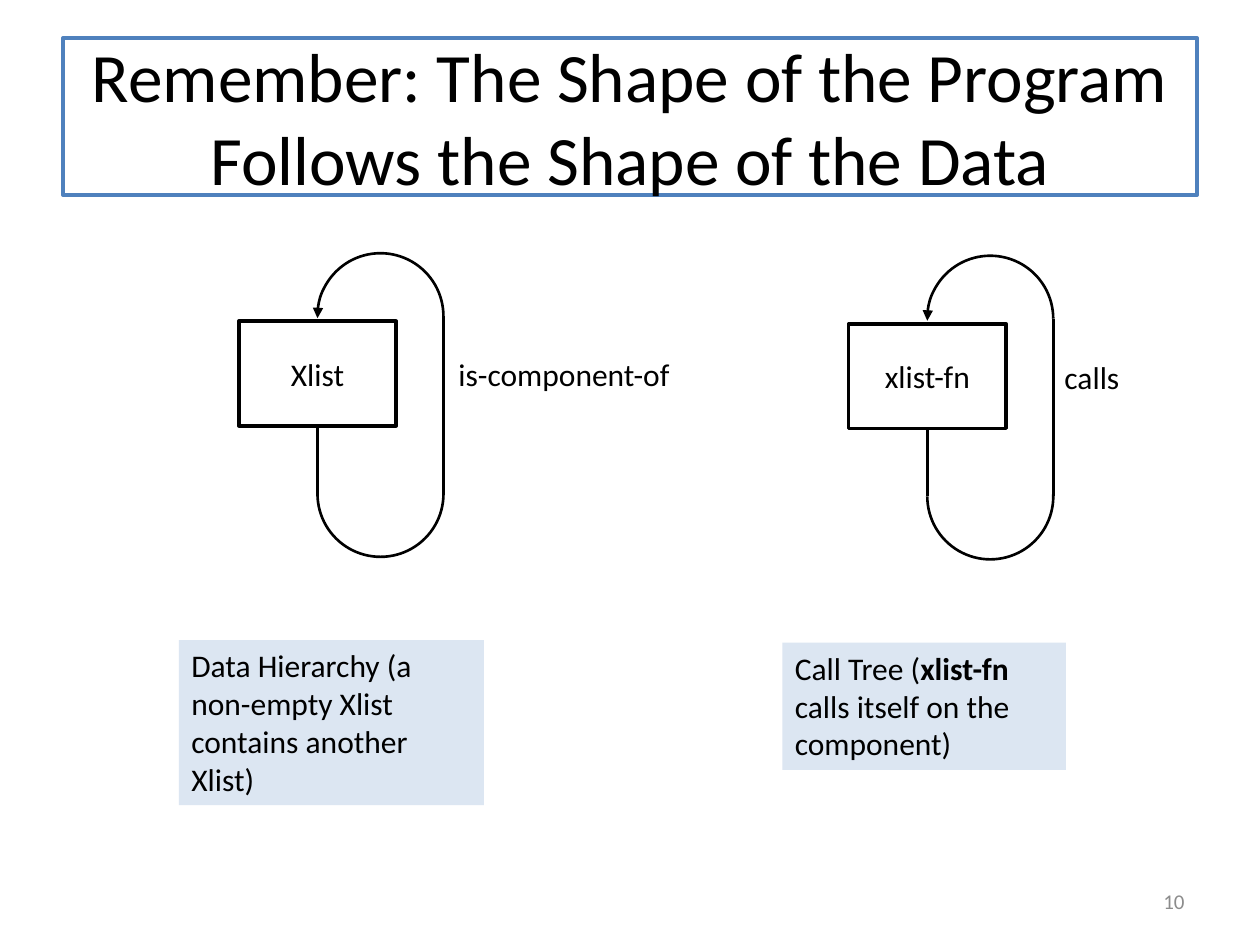
import pptx
import pptx.util
import pptx.dml.color
import pptx.enum.shapes
import pptx.enum.text
import lxml.etree
from pptx.oxml.ns import qn

Inches = pptx.util.Inches
Pt = pptx.util.Pt
SHAPE = pptx.enum.shapes.MSO_SHAPE
ALIGN = pptx.enum.text.PP_ALIGN
ANCHOR = pptx.enum.text.MSO_ANCHOR

BLACK = pptx.dml.color.RGBColor(0x00, 0x00, 0x00)
WHITE = pptx.dml.color.RGBColor(0xFF, 0xFF, 0xFF)
BLUE = pptx.dml.color.RGBColor(0x4F, 0x81, 0xBD)
PALE_BLUE = pptx.dml.color.RGBColor(0xDC, 0xE6, 0xF2)
GREY = pptx.dml.color.RGBColor(0x8C, 0x8C, 0x8C)

presentation = pptx.Presentation()
presentation.slide_width = Inches(10)
presentation.slide_height = Inches(7.5)
slide = presentation.slides.add_slide(presentation.slide_layouts[5])


def write_text(shape, text, size=18, color=BLACK, align=ALIGN.LEFT,
               anchor=ANCHOR.TOP, wrap=True, bold_part=None):
    """Fill the shape with one paragraph; bold_part is set in bold."""
    frame = shape.text_frame
    frame.word_wrap = wrap
    frame.auto_size = pptx.enum.text.MSO_AUTO_SIZE.NONE
    frame.vertical_anchor = anchor
    paragraph = frame.paragraphs[0]
    paragraph.alignment = align
    before, bold, after = text.partition(bold_part) if bold_part else (text, "", "")
    for part, is_bold in ((before, False), (bold, True), (after, False)):
        if part:
            run = paragraph.add_run()
            run.text = part
            run.font.name = "Calibri"
            run.font.size = Pt(size)
            run.font.bold = is_bold
            run.font.color.rgb = color


def draw_line(item, width):
    """Give an arc or connector a plain black line and return its a:ln."""
    item.line.color.rgb = BLACK
    item.line.width = Pt(width)
    properties = item._element.spPr
    if properties.find(qn("a:effectLst")) is None:
        lxml.etree.SubElement(properties, qn("a:effectLst"))
    return properties.find(qn("a:ln"))


# Title
title = slide.shapes.title
title.left, title.top, title.width, title.height = map(Inches, (0.5, 0.3, 9, 1.25))
title.fill.solid()
title.fill.fore_color.rgb = WHITE
title.line.color.rgb = BLUE
title.line.width = Pt(2)
write_text(title, "Remember: The Shape of the Program Follows the Shape of the Data",
           size=39.6, align=ALIGN.CENTER, anchor=ANCHOR.MIDDLE)

# Two self-loops: node name, loop left and top, label with its left and width
LOOP_SIZE = 1
NODE_WIDTH, NODE_HEIGHT = 1.25, 0.83
loops = [
    ("Xlist", 2.52, 2.01, "is-component-of", 3.54, 2.02),
    ("xlist-fn", 7.36, 2.03, "calls", 8.35, 0.64),
]
for name, left, top, label, label_left, label_width in loops:
    upper_middle = top + LOOP_SIZE / 2
    lower_middle = upper_middle + 1.41

    # Node
    node = slide.shapes.add_shape(
        SHAPE.RECTANGLE, Inches(left - NODE_WIDTH / 2), Inches(top + 0.54),
        Inches(NODE_WIDTH), Inches(NODE_HEIGHT))
    node.shadow.inherit = False
    node.fill.solid()
    node.fill.fore_color.rgb = WHITE
    node.line.color.rgb = BLACK
    node.line.width = Pt(2)
    write_text(node, name, align=ALIGN.CENTER, anchor=ANCHOR.MIDDLE)

    # Stem below the node and long side of the loop
    right = left + LOOP_SIZE
    for x, width in ((left, 1.5), (right, 2)):
        side = slide.shapes.add_connector(
            pptx.enum.shapes.MSO_CONNECTOR.STRAIGHT,
            Inches(x), Inches(upper_middle), Inches(x), Inches(lower_middle))
        if x == left:
            side.begin_connect(node, 2)
        draw_line(side, width)

    # Half circles: the lower one, then the upper one with its arrowhead
    for arc_top, flip in ((top + 1.41, "flipV"), (top, "flipH")):
        arc = slide.shapes.add_shape(SHAPE.ARC, Inches(left), Inches(arc_top),
                                     Inches(LOOP_SIZE), Inches(LOOP_SIZE))
        arc.adjustments[0] = 108
        arc.adjustments[1] = 1.1
        arc.fill.background()
        arc._element.spPr.find(qn("a:xfrm")).set(flip, "1")
        line = draw_line(arc, 1.5)
        if flip == "flipH":
            lxml.etree.SubElement(line, qn("a:tailEnd"), type="triangle")

    # Label beside the loop
    label_box = slide.shapes.add_textbox(Inches(label_left), Inches(top + 0.76),
                                         Inches(label_width), Inches(0.4))
    write_text(label_box, label, wrap=False)

# Captions
captions = [
    ("Data Hierarchy (a non-empty Xlist contains another Xlist)", None,
     (1.42, 5.08, 2.42, 1.31)),
    ("Call Tree (xlist-fn calls itself on the component)", "xlist-fn",
     (6.21, 5.1, 2.25, 1.01)),
]
for text, bold_part, box in captions:
    caption = slide.shapes.add_shape(SHAPE.RECTANGLE, *map(Inches, box))
    caption.shadow.inherit = False
    caption.fill.solid()
    caption.fill.fore_color.rgb = PALE_BLUE
    caption.line.fill.background()
    write_text(caption, text, bold_part=bold_part)

# Slide number
number = slide.shapes.add_textbox(Inches(7.17), Inches(6.95), Inches(2.33), Inches(0.4))
write_text(number, "10", size=12, color=GREY, align=ALIGN.RIGHT, anchor=ANCHOR.MIDDLE)

presentation.save("out.pptx")
